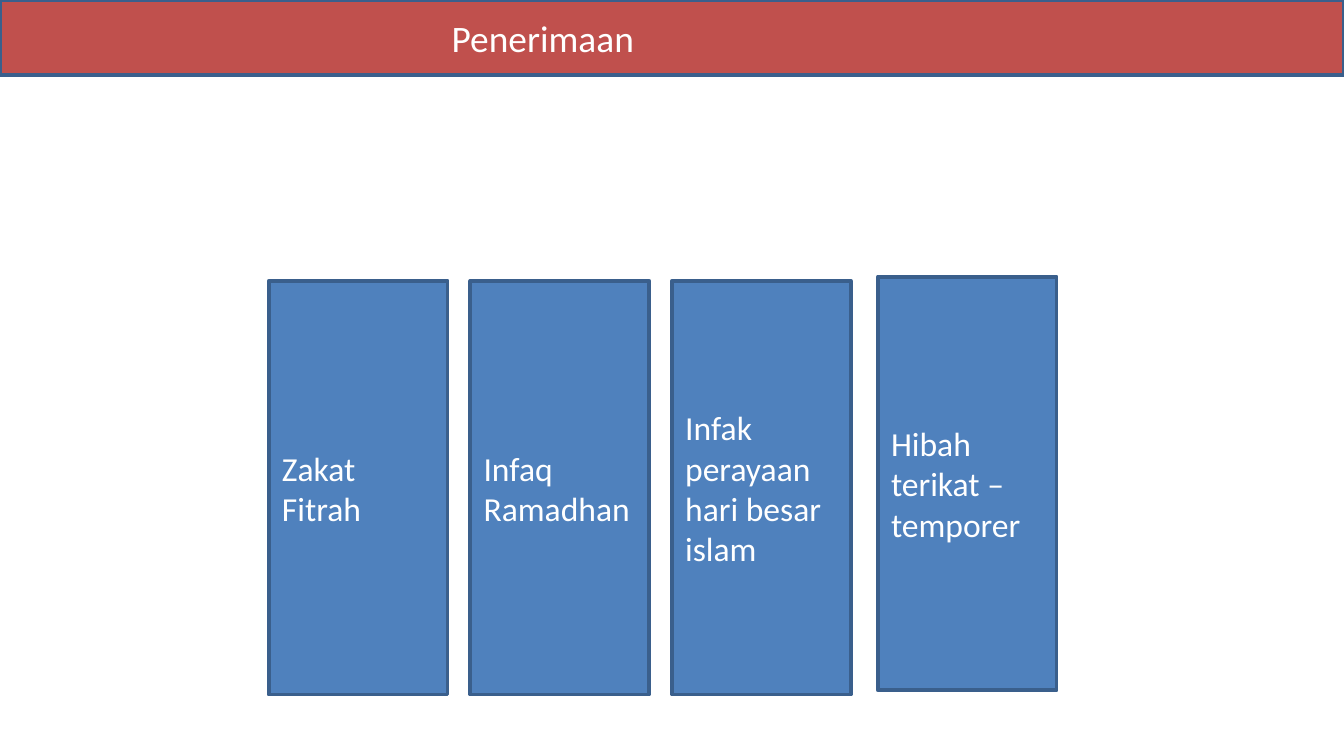
from pptx import Presentation
from pptx.dml.color import RGBColor
from pptx.enum.shapes import MSO_SHAPE as Shape
from pptx.enum.text import MSO_ANCHOR as Anchor, MSO_AUTO_SIZE as AutoSize, PP_ALIGN as Align
from pptx.util import Cm, Pt

COLORS = {"band": "C0504D", "column": "4F81BD", "border": "3A5F8C", "text": "FFFFFF"}
COLUMN_LEFT, COLUMN_TOP, COLUMN_PITCH = 5.08, 5.31, 3.81
COLUMN_WIDTH, COLUMN_HEIGHT = 3.38, 7.82

# Label with its offset from the regular column position (x, y)
COLUMNS = [
    ("Zakat Fitrah", 0, 0),
    ("Infaq Ramadhan", 0, 0),
    ("Infak perayaan hari besar islam", 0, 0),
    ("Hibah terikat – temporer", 0.08, -0.08),
]


def color(name):
    return RGBColor.from_string(COLORS[name])


def set_text(sp, text, size, align, anchor):
    tf = sp.text_frame
    frame_format = {
        "word_wrap": True, "auto_size": AutoSize.NONE, "vertical_anchor": anchor,
        "margin_left": Cm(0.25), "margin_right": Cm(0.25),
        "margin_top": Cm(0.13), "margin_bottom": Cm(0.13),
    }
    for key, value in frame_format.items():
        setattr(tf, key, value)
    p = tf.paragraphs[0]
    p.alignment = align
    r = p.add_run()
    r.text = text
    for key, value in {"name": "Calibri", "size": Pt(size)}.items():
        setattr(r.font, key, value)
    r.font.color.rgb = color("text")


def add_box(s, x, y, w, h, fill):
    sp = s.shapes.add_shape(Shape.RECTANGLE, Cm(x), Cm(y), Cm(w), Cm(h))
    sp.shadow.inherit = False
    sp.fill.solid()
    sp.fill.fore_color.rgb = color(fill)
    sp.line.color.rgb = color("border")
    sp.line.width = Pt(2)
    return sp


def place_title(s, text):
    title = s.shapes.title
    position = {"left": 7.82, "top": 0.15, "width": 4.88, "height": 1.12}
    for key, value in position.items():
        setattr(title, key, Cm(value))
    set_text(title, text, 20, Align.CENTER, Anchor.TOP)
    # Bring the title in front of the band
    title.element.getparent().append(title.element)


def main():
    prs = Presentation()
    prs.slide_width, prs.slide_height = Cm(25.4), Cm(14.29)
    s = prs.slides.add_slide(prs.slide_layouts[5])

    # Header band and title
    add_box(s, 0, 0, 25.4, 1.42, "band")
    place_title(s, "Penerimaan")

    # Columns of income types
    for i, (label, dx, dy) in enumerate(COLUMNS):
        x = COLUMN_LEFT + i * COLUMN_PITCH + dx
        sp = add_box(s, x, COLUMN_TOP + dy, COLUMN_WIDTH, COLUMN_HEIGHT, "column")
        set_text(sp, label, 18, Align.LEFT, Anchor.MIDDLE)

    prs.save("out.pptx")


if __name__ == "__main__":
    main()
